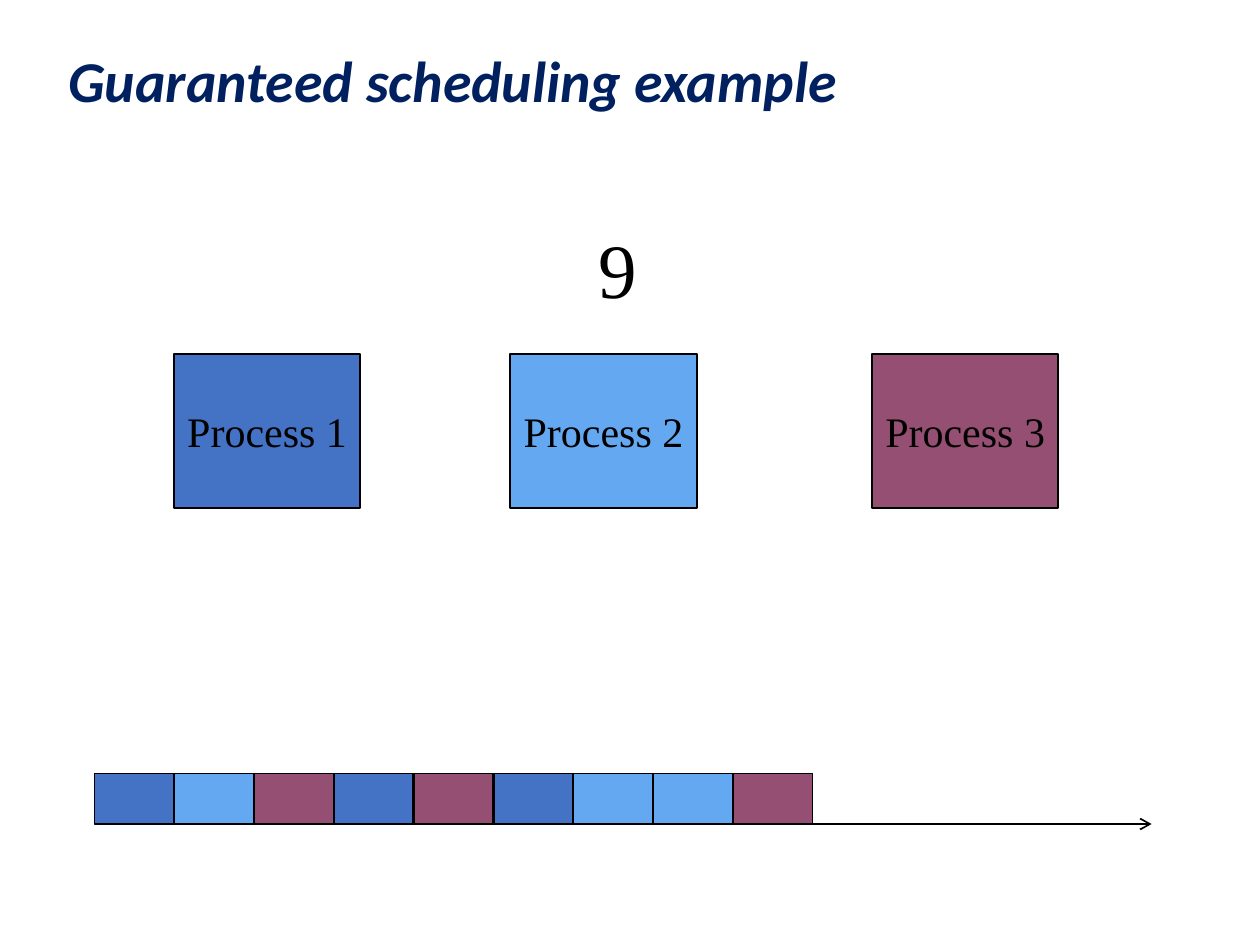
import pptx
import pptx.dml.color
import pptx.enum.shapes
import pptx.enum.text
import pptx.oxml
import pptx.oxml.ns
import pptx.util
from pptx.util import Inches

COLOURS = {
    "title": "002060",
    "ink": "000000",
    "Process 1": "4472C4",
    "Process 2": "64A8F2",
    "Process 3": "954F72",
}
TITLE_FONT = {"name": "Calibri", "size": pptx.util.Pt(33), "bold": True, "italic": True}
PROCESS_FONT = {"name": "Times New Roman", "size": pptx.util.Pt(24)}
COUNT_FONT = {"name": "Times New Roman", "size": pptx.util.Pt(44)}
PROCESS_LEFTS = {"Process 1": 1.38, "Process 2": 4.05, "Process 3": 6.92}
SCHEDULE = (1, 2, 3, 1, 3, 1, 2, 2, 3)
TIMELINE_LEFT, TIMELINE_RIGHT, TIMELINE_Y = 0.75, 9.14, 6.54
SLICE_STEP = 5.07 / 8
SLICE_WIDTH, SLICE_HEIGHT = 0.63, 0.4


def colour(key):
    """Return the RGB colour stored under a key."""
    return pptx.dml.color.RGBColor.from_string(COLOURS[key])


def apply_format(target, values):
    """Set each attribute of the target from a dict of values."""
    for attribute, value in values.items():
        setattr(target, attribute, value)


def write(holder, words, font, ink, align, frame_format):
    """Write one formatted paragraph into a shape."""
    apply_format(holder.text_frame, frame_format)
    paragraph = holder.text_frame.paragraphs[0]
    paragraph.alignment = align
    run = paragraph.add_run()
    run.text = words
    apply_format(run.font, font)
    run.font.color.rgb = colour(ink)
    return paragraph


def add_title(slide, words):
    """Place and fill the title placeholder."""
    heading = slide.shapes.title
    apply_format(heading, {"left": Inches(0.44), "top": Inches(0.25),
                           "width": Inches(8.5), "height": Inches(0.83)})
    paragraph = write(heading, words, TITLE_FONT, "title", pptx.enum.text.PP_ALIGN.LEFT, {
        "vertical_anchor": pptx.enum.text.MSO_ANCHOR.MIDDLE,
        "auto_size": pptx.enum.text.MSO_AUTO_SIZE.NONE,
        "word_wrap": True,
    })
    paragraph.line_spacing = 0.9


def add_block(slide, process, left, top, width, height):
    """Add an outlined rectangle in the colour of a process."""
    block = slide.shapes.add_shape(
        pptx.enum.shapes.MSO_SHAPE.RECTANGLE,
        Inches(left), Inches(top), Inches(width), Inches(height))
    block.shadow.inherit = False
    block.fill.solid()
    block.fill.fore_color.rgb = colour(process)
    block.line.color.rgb = colour("ink")
    block.line.width = pptx.util.Pt(1)
    return block


def add_process(slide, process, left):
    """Add a labelled process box."""
    box = add_block(slide, process, left, 2.81, 1.48, 1.22)
    write(box, process, PROCESS_FONT, "ink", pptx.enum.text.PP_ALIGN.CENTER, {
        "vertical_anchor": pptx.enum.text.MSO_ANCHOR.MIDDLE,
        "word_wrap": False,
    })


def add_count(slide, words):
    """Add the large time counter."""
    counter = slide.shapes.add_textbox(Inches(4.05), Inches(1.71), Inches(1.7), Inches(0.83))
    write(counter, words, COUNT_FONT, "ink", pptx.enum.text.PP_ALIGN.CENTER, {
        "word_wrap": True,
        "auto_size": pptx.enum.text.MSO_AUTO_SIZE.SHAPE_TO_FIT_TEXT,
    })


def add_time_axis(slide):
    """Add the arrow along which time runs."""
    axis = slide.shapes.add_connector(
        pptx.enum.shapes.MSO_CONNECTOR.STRAIGHT,
        Inches(TIMELINE_LEFT), Inches(TIMELINE_Y), Inches(TIMELINE_RIGHT), Inches(TIMELINE_Y))
    axis.line.color.rgb = colour("ink")
    axis.line.width = pptx.util.Pt(1)
    arrowhead = pptx.oxml.parse_xml(
        f'<a:tailEnd {pptx.oxml.ns.nsdecls("a")} type="arrow"/>')
    axis.line._get_or_add_ln().append(arrowhead)
    axis._element.spPr.append(
        pptx.oxml.parse_xml(f'<a:effectLst {pptx.oxml.ns.nsdecls("a")}/>'))


def main():
    """Build and save the slide."""
    deck = pptx.Presentation()
    apply_format(deck, {"slide_width": Inches(10), "slide_height": Inches(7.5)})
    slide = deck.slides.add_slide(deck.slide_layouts[5])
    add_title(slide, "Guaranteed scheduling example")
    for process, left in PROCESS_LEFTS.items():
        add_process(slide, process, left)
    add_time_axis(slide)
    add_count(slide, "9")
    for turn, number in enumerate(SCHEDULE):
        add_block(slide, f"Process {number}", TIMELINE_LEFT + turn * SLICE_STEP,
                  TIMELINE_Y - SLICE_HEIGHT, SLICE_WIDTH, SLICE_HEIGHT)
    deck.save("out.pptx")


if __name__ == "__main__":
    main()
